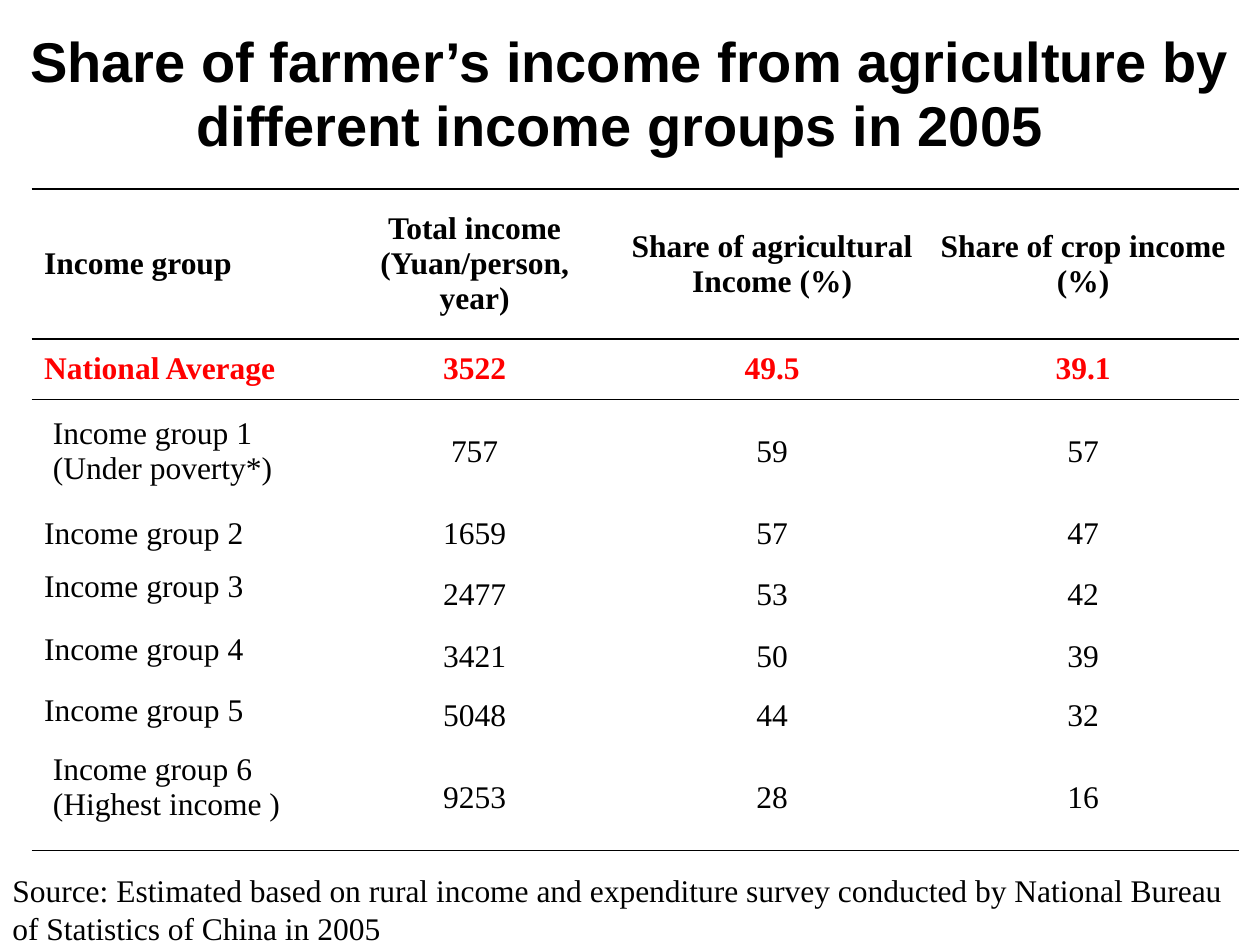
from lxml import etree
from pptx import Presentation
from pptx.dml.color import RGBColor
from pptx.enum.text import MSO_ANCHOR, MSO_AUTO_SIZE, PP_ALIGN
from pptx.oxml.ns import qn
from pptx.util import Pt

MID, TOP = MSO_ANCHOR.MIDDLE, MSO_ANCHOR.TOP
LEFT, CENTER = PP_ALIGN.LEFT, PP_ALIGN.CENTER
FIXED = MSO_AUTO_SIZE.NONE
HUES = {"ink": "000000", "mark": "FF0000"}
SANS, SERIF = "Arial", "Times New Roman"
PLAIN = "{2D5ABB26-0587-4C30-8999-92F81FD0307C}"
TITLE = "Share of farmer’s income from agriculture by different income groups in 2005"
SOURCE = ("Source: Estimated based on rural income and expenditure survey "
          "conducted by National Bureau of Statistics of China in 2005")
COLS = [172, 162.5, 177.5, 178]
ROWS = [85.7, 34.5, 59.8, 33.8, 36, 34.6, 33.8, 59.8]
DATA = [
    ["Income group", "Total income\n(Yuan/person, year)",
     "Share of agricultural Income (%)", "Share of crop income\n(%)"],
    ["National Average", "3522", "49.5", "39.1"],
    ["Income group 1\n(Under poverty*)", "757", "59", "57"],
    ["Income group 2", "1659", "57", "47"],
    ["Income group 3", "2477", "53", "42"],
    ["Income group 4", "3421", "50", "39"],
    ["Income group 5", "5048", "44", "32"],
    ["Income group 6\n(Highest income )", "9253", "28", "16"],
]


def style(font, name, size, hue="ink", bold=False):
    """Set the face, size, colour and weight of a font."""
    font.name, font.size, font.bold = name, Pt(size), bold
    font.color.rgb = RGBColor.from_string(HUES[hue])


def rule(cell, side):
    """Draw a one-point line on one side of a cell."""
    line = etree.SubElement(cell._tc.get_or_add_tcPr(), qn(f"a:ln{side}"), w=str(Pt(1)))
    fill = etree.SubElement(line, qn("a:solidFill"))
    etree.SubElement(fill, qn("a:srgbClr"), val=HUES["ink"])


def add_title(slide, x, y, w, h):
    """Place the heading in the title placeholder."""
    shape = slide.shapes.title
    shape.left, shape.top, shape.width, shape.height = map(Pt, (x, y, w, h))
    frame = shape.text_frame
    frame.auto_size, frame.vertical_anchor = FIXED, MID
    para = frame.paragraphs[0]
    para.alignment, para.line_spacing = CENTER, 0.8
    for text, size, bold in ((TITLE, 32, True), (" ", 40, False)):
        run = para.add_run()
        run.text = text
        style(run.font, SANS, size, bold=bold)


def fill_cell(cell, text, row, col):
    """Write and format one cell by its row and column."""
    cell.text = text
    cell.vertical_anchor = TOP if col == 0 and row > 3 else MID
    for para in cell.text_frame.paragraphs:
        para.alignment = CENTER if col else LEFT
        if row and "\n" in text and not col:
            para._p.get_or_add_pPr().set("indent", str(Pt(5)))
        style(para.font, SERIF, 18, "mark" if row == 1 else "ink", row < 2)
    if row < 2:
        rule(cell, "T")
    if row in (0, len(DATA) - 1):
        rule(cell, "B")
    cell.fill.background()


def add_grid(slide, x, y):
    """Place the income table with its top left corner at x, y."""
    box = map(Pt, (x, y, sum(COLS), sum(ROWS)))
    table = slide.shapes.add_table(len(ROWS), len(COLS), *box).table
    table.first_row = table.horz_banding = False
    table._tbl.tblPr.find(qn("a:tableStyleId")).text = PLAIN
    for col, width in zip(table.columns, COLS):
        col.width = Pt(width)
    for r, (height, texts) in enumerate(zip(ROWS, DATA)):
        table.rows[r].height = Pt(height)
        for c, text in enumerate(texts):
            fill_cell(table.cell(r, c), text, r, c)


def add_source(slide, x, y, w, h):
    """Place the source line under the table."""
    frame = slide.shapes.add_textbox(*map(Pt, (x, y, w, h))).text_frame
    frame.word_wrap, frame.vertical_anchor = True, MID
    frame.text = SOURCE
    style(frame.paragraphs[0].font, SERIF, 18)


def main():
    """Build and save the slide."""
    deck = Presentation()
    deck.slide_width, deck.slide_height = Pt(720), Pt(540)
    slide = deck.slides.add_slide(deck.slide_layouts[5])
    add_title(slide, 0, 12, 720, 90)
    add_grid(slide, 18, 108)
    add_source(slide, 0, 494, 720, 50.4)
    deck.save("out.pptx")


if __name__ == "__main__":
    main()
